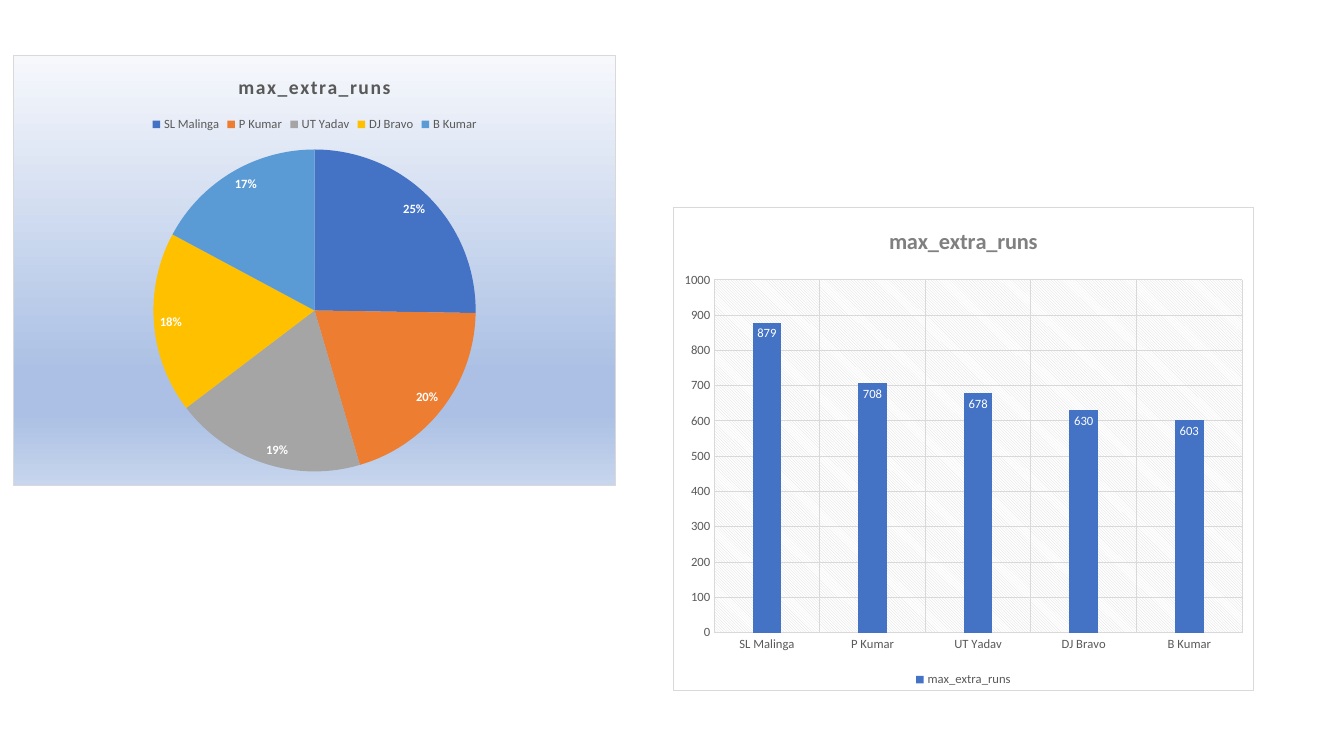
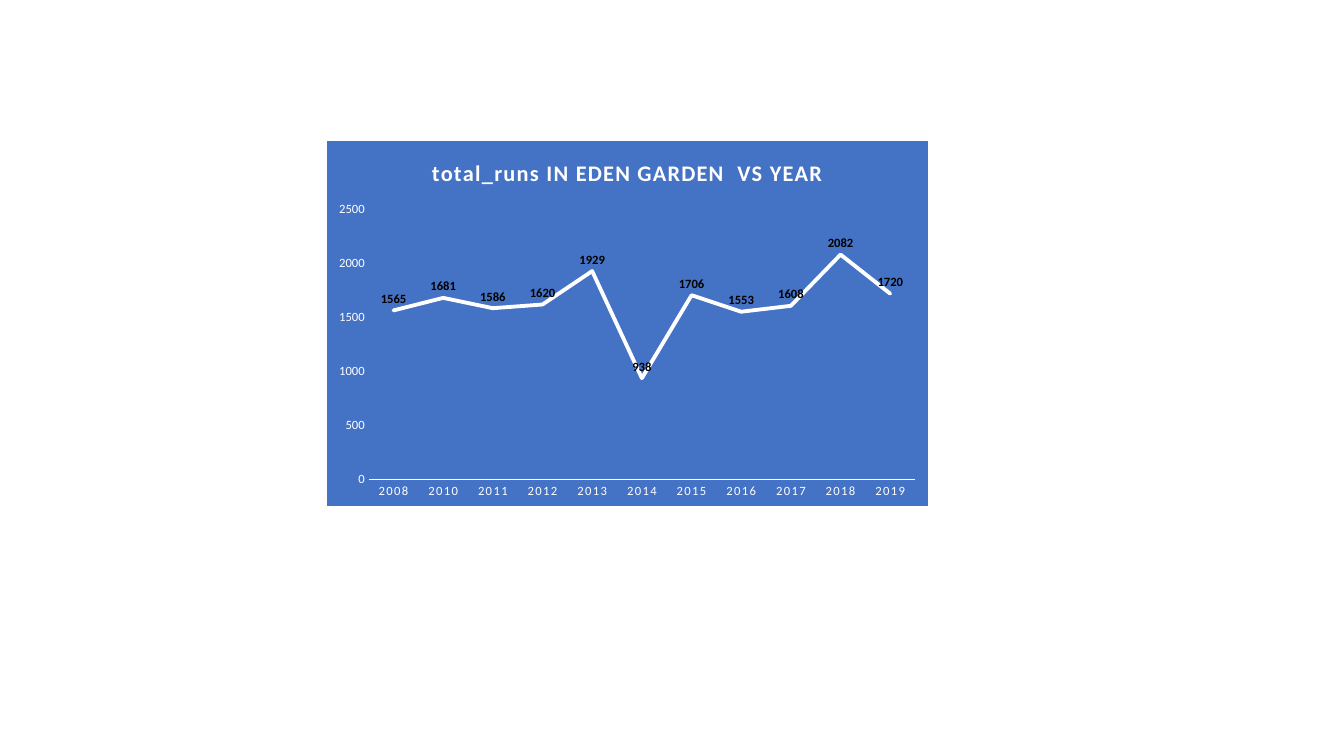
from pptx import Presentation
from pptx.chart.data import CategoryChartData
from pptx.dml.color import RGBColor
from pptx.dml.fill import FillFormat
from pptx.dml.line import LineFormat
from pptx.enum.chart import XL_CHART_TYPE as ChartKind
from pptx.enum.chart import XL_LABEL_POSITION as LabelPos
from pptx.enum.chart import XL_LEGEND_POSITION as LegendPos
from pptx.enum.chart import XL_TICK_MARK as Tick
from pptx.enum.dml import MSO_PATTERN as Pattern
from pptx.oxml import parse_xml
from pptx.oxml.ns import nsdecls, qn
from pptx.util import Inches, Pt

FONT = "Calibri"
COLORS = {
    "blue": "4472C4", "orange": "ED7D31", "silver": "A5A5A5",
    "gold": "FFC000", "sky": "5B9BD5", "white": "FFFFFF",
    "black": "000000", "text": "595959", "heading": "808080",
    "rule": "D9D9D9",
}
SLICES = ["blue", "orange", "silver", "gold", "sky"]
GLOW = [(0, "F6F8FC"), (74, "ABC0E4"), (83, "ABC0E4"), (100, "C7D5ED")]
BOWLERS = ["SL Malinga", "P Kumar", "UT Yadav", "DJ Bravo", "B Kumar"]
EXTRA_SHARES = [25, 20, 19, 18, 17]
EXTRA_RUNS = [879, 708, 678, 630, 603]
YEARS = ["2008"] + [str(year) for year in range(2010, 2020)]
YEAR_RUNS = [1565, 1681, 1586, 1620, 1929, 938, 1706, 1553, 1608, 2082, 1720]


def rgb(name):
    return RGBColor.from_string(COLORS[name])


def set_font(font, size, color, bold=False):
    font.name = FONT
    font.size = Pt(size)
    font.bold = bold
    font.color.rgb = rgb(color)


def set_fill(fill, color):
    fill.solid()
    fill.fore_color.rgb = rgb(color)


def set_line(line, color, width=0.75):
    line.color.rgb = rgb(color)
    line.width = Pt(width)


def new_properties():
    return parse_xml(f"<c:spPr {nsdecls('c', 'a')}/>")


def add_chart(slide, box, kind, categories, name, values):
    data = CategoryChartData()
    data.categories = categories
    data.add_series(name, values)
    chart = slide.shapes.add_chart(kind, *map(Inches, box), data).chart
    set_font(chart.font, 10, "black")
    chart.has_legend = False
    return chart


def set_title(chart, text, size, color, spacing=0):
    frame = chart.chart_title.text_frame
    frame.text = text
    heading = frame.paragraphs[0]
    set_font(heading.font, size, color, True)
    heading.runs[0].font.bold = True
    if spacing:
        heading.runs[0].font.size = Pt(size)
        for tag in ("a:pPr/a:defRPr", "a:r/a:rPr"):
            parent, child = tag.split("/")
            heading._p.find(qn(parent)).find(qn(child)).set("spc", str(spacing))
    chart.chart_title.include_in_layout = False


def set_legend(chart, position):
    chart.has_legend = True
    chart.legend.position = position
    chart.legend.include_in_layout = False
    set_font(chart.legend.font, 9, "text")


def set_panel(chart, border, color=None):
    panel = new_properties()
    chart.element.find(qn("c:chart")).addnext(panel)
    if color:
        set_fill(FillFormat.from_fill_parent(panel), color)
    else:
        stops = "".join(
            f'<a:gs pos="{pos * 1000}"><a:srgbClr val="{tint}"/></a:gs>'
            for pos, tint in GLOW)
        panel.append(parse_xml(
            f"<a:gradFill {nsdecls('a')}><a:gsLst>{stops}</a:gsLst>"
            '<a:lin ang="5400000" scaled="0"/></a:gradFill>'))
    set_line(LineFormat(panel), border)


def set_hatching(chart):
    backdrop = new_properties()
    chart.element.find(qn("c:chart")).find(qn("c:plotArea")).append(backdrop)
    fill = FillFormat.from_fill_parent(backdrop)
    fill.patterned()
    fill.pattern = Pattern.LIGHT_DOWNWARD_DIAGONAL
    fill.fore_color.rgb = rgb("rule")
    fill.back_color.rgb = rgb("white")


def set_labels(plot, position, color, bold=False, percent=False):
    plot.vary_by_categories = percent
    plot.has_data_labels = True
    labels = plot.data_labels
    labels.show_value = not percent
    labels.show_percentage = percent
    if percent:
        labels.number_format = "0%"
        labels.number_format_is_linked = False
    labels.position = position
    set_font(labels.font, 9, color, bold)


def set_axes(chart, color, line, width, grid=None):
    for axis in (chart.category_axis, chart.value_axis):
        axis.major_tick_mark = axis.minor_tick_mark = Tick.NONE
        set_font(axis.tick_labels.font, 9, color)
        axis.has_major_gridlines = grid is not None
        if grid:
            set_line(axis.major_gridlines.format.line, grid)
    set_line(chart.category_axis.format.line, line, width)
    chart.value_axis.format.line.fill.background()


def add_share_pie(slide, box):
    chart = add_chart(slide, box, ChartKind.PIE, BOWLERS,
                      "max_extra_runs", EXTRA_SHARES)
    set_title(chart, "max_extra_runs", 14, "text", 100)
    set_legend(chart, LegendPos.TOP)
    set_panel(chart, "rule")
    plot = chart.plots[0]
    set_labels(plot, LabelPos.INSIDE_END, "white", True, percent=True)
    for index, color in enumerate(SLICES):
        set_fill(plot.series[0].points[index].format.fill, color)


def add_extras_columns(slide, box):
    chart = add_chart(slide, box, ChartKind.COLUMN_CLUSTERED, BOWLERS,
                      "max_extra_runs", EXTRA_RUNS)
    set_title(chart, "max_extra_runs", 16, "heading")
    set_legend(chart, LegendPos.BOTTOM)
    set_panel(chart, "rule", "white")
    set_hatching(chart)
    set_axes(chart, "text", "rule", 0.75, grid="rule")
    plot = chart.plots[0]
    plot.gap_width = 267
    plot.overlap = -43
    set_labels(plot, LabelPos.INSIDE_END, "white")
    set_fill(plot.series[0].format.fill, "blue")


def add_year_line(slide, box):
    chart = add_chart(slide, box, ChartKind.LINE, YEARS, "Series 1", YEAR_RUNS)
    set_title(chart, "total_runs IN EDEN GARDEN  VS YEAR", 16, "white", 100)
    set_panel(chart, "blue", "blue")
    set_axes(chart, "white", "white", 1)
    year_font = chart.category_axis.tick_labels.font
    year_font._element.set("spc", "100")
    plot = chart.plots[0]
    set_labels(plot, LabelPos.ABOVE, "black", True)
    runs = plot.series[0]
    runs.smooth = False
    set_line(runs.format.line, "white", 2.75)
    runs.format.line._ln.set("cap", "rnd")


def main():
    deck = Presentation()
    deck.slide_width = Inches(13.33)
    deck.slide_height = Inches(7.5)
    blank = deck.slide_layouts[6]

    extras = deck.slides.add_slide(blank)
    add_share_pie(extras, (0.13, 0.55, 5.98, 4.27))
    add_extras_columns(extras, (6.67, 2.05, 5.77, 4.81))

    yearly = deck.slides.add_slide(blank)
    add_year_line(yearly, (3.24, 1.4, 5.96, 3.62))

    deck.save("out.pptx")


if __name__ == "__main__":
    main()
